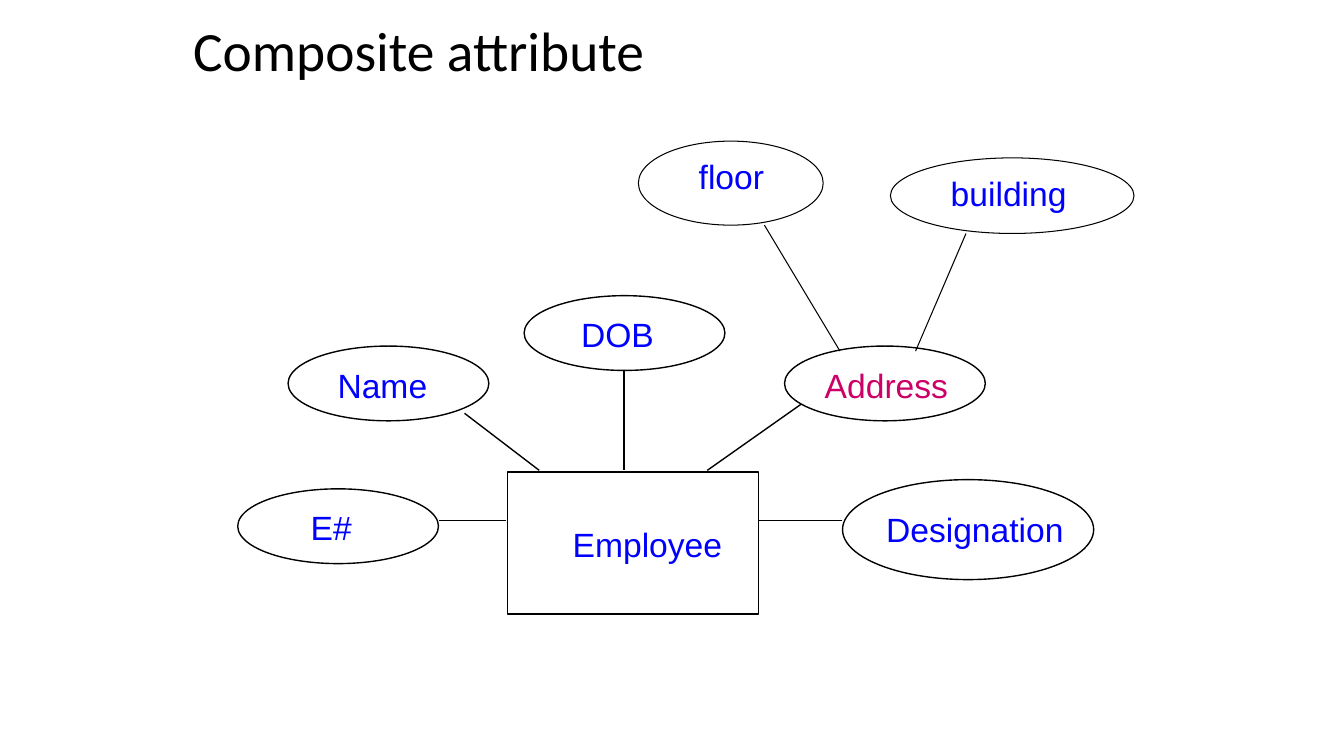
from dataclasses import dataclass

import pptx
import pptx.dml.color
import pptx.enum.shapes
import pptx.enum.text
import pptx.oxml.ns
import pptx.util
from lxml import etree

# The slide is a grid of 160 columns by 90 rows of square cells
SLIDE_WIDTH = pptx.util.Inches(13.33)
SLIDE_HEIGHT = pptx.util.Inches(7.5)
COLUMNS, ROWS = 160, 90
COLORS = {"ink": "000000", "label": "0000FF", "composite": "CC0066"}
OVAL = pptx.enum.shapes.MSO_SHAPE.OVAL
BOX = pptx.enum.shapes.MSO_SHAPE.RECTANGLE
MAIN_LINE, PART_LINE = 1, 0.75


@dataclass(frozen=True)
class Node:
    """An entity or attribute: its outline and its label, in grid cells."""
    label: str
    column: float
    row: float
    label_column: float
    label_row: float
    label_width: float
    width: float = 23.9
    height: float = 8.9
    label_height: float = 6
    form: int = OVAL
    color: str = "label"
    line: float = MAIN_LINE


@dataclass(frozen=True)
class Link:
    """A straight line between two grid points."""
    start: tuple[float, float]
    end: tuple[float, float]
    line: float = MAIN_LINE


NODES = [
    Node("Employee", 60.4, 56.2, 67, 61.8, 20.4, 29.9, 16.9, form=BOX),
    Node("Name", 34.3, 41.2, 39, 42.8, 13.2),
    Node("E#", 28.3, 58.2, 35.8, 59.8, 7.3),
    Node("Designation", 100.3, 57.1, 104.3, 60, 23.5, 29.9, 11.9, 10.9),
    Node("DOB", 62.4, 35.2, 68, 36.8, 11.2),
    Node("Address", 93.4, 41.2, 97, 42.8, 17.3, color="composite"),
    Node("floor", 76, 16.8, 82, 18, 14, 22, 10, line=PART_LINE),
    Node("building", 106, 18.8, 112, 20, 19, 29, 9, line=PART_LINE),
]

LINKS = [
    Link((52.3, 62), (60.2, 62)),
    Link((55.3, 49.2), (64.2, 56)),
    Link((74.3, 44.2), (74.3, 56)),
    Link((95.4, 48.1), (84.2, 56)),
    Link((100.3, 62), (90.2, 62)),
    Link((91, 26.8), (100, 41.8), PART_LINE),
    Link((115, 27.8), (109, 41.8), PART_LINE),
]


def x(columns: float) -> int:
    return round(SLIDE_WIDTH * columns / COLUMNS)


def y(rows: float) -> int:
    return round(SLIDE_HEIGHT * rows / ROWS)


def rgb(name: str) -> pptx.dml.color.RGBColor:
    return pptx.dml.color.RGBColor.from_string(COLORS[name])


def style_line(line, width: float) -> None:
    line.color.rgb = rgb("ink")
    line.width = pptx.util.Pt(width)


def add_text(slide, text: str, column: float, row: float, width: float,
             height: float, font: str, size: float, color: str):
    box = slide.shapes.add_textbox(x(column), y(row), x(width), y(height))
    frame = box.text_frame
    frame.word_wrap = True
    paragraph = frame.paragraphs[0]
    paragraph.text = text
    paragraph.font.name = font
    paragraph.font.size = pptx.util.Pt(size)
    paragraph.font.color.rgb = rgb(color)
    return frame


def add_outline(slide, node: Node) -> None:
    outline = slide.shapes.add_shape(
        node.form, x(node.column), y(node.row), x(node.width), y(node.height))
    outline.shadow.inherit = False
    outline.fill.background()
    style_line(outline.line, node.line)


def add_label(slide, node: Node) -> None:
    frame = add_text(slide, node.label, node.label_column, node.label_row,
                     node.label_width, node.label_height, "Arial", 24, node.color)
    frame.word_wrap = node.label_width > 20.4 or node.line == PART_LINE


def add_link(slide, link: Link) -> None:
    connector = slide.shapes.add_connector(
        pptx.enum.shapes.MSO_CONNECTOR.STRAIGHT,
        x(link.start[0]), y(link.start[1]), x(link.end[0]), y(link.end[1]))
    style_line(connector.line, link.line)
    etree.SubElement(connector._element.spPr, pptx.oxml.ns.qn("a:effectLst"))


presentation = pptx.Presentation()
presentation.slide_width = SLIDE_WIDTH
presentation.slide_height = SLIDE_HEIGHT
slide = presentation.slides.add_slide(presentation.slide_layouts[6])

# Title
title = add_text(slide, "Composite attribute", 23, 3, 112.6, 6.7,
                 "Calibri", 39.6, "ink")
title.margin_left = 0
title.vertical_anchor = pptx.enum.text.MSO_ANCHOR.MIDDLE
title.paragraphs[0].line_spacing = 0.9

# Entity and attributes, then the lines that join them
for node in NODES:
    add_outline(slide, node)
    add_label(slide, node)
for link in LINKS:
    add_link(slide, link)

presentation.save("out.pptx")
